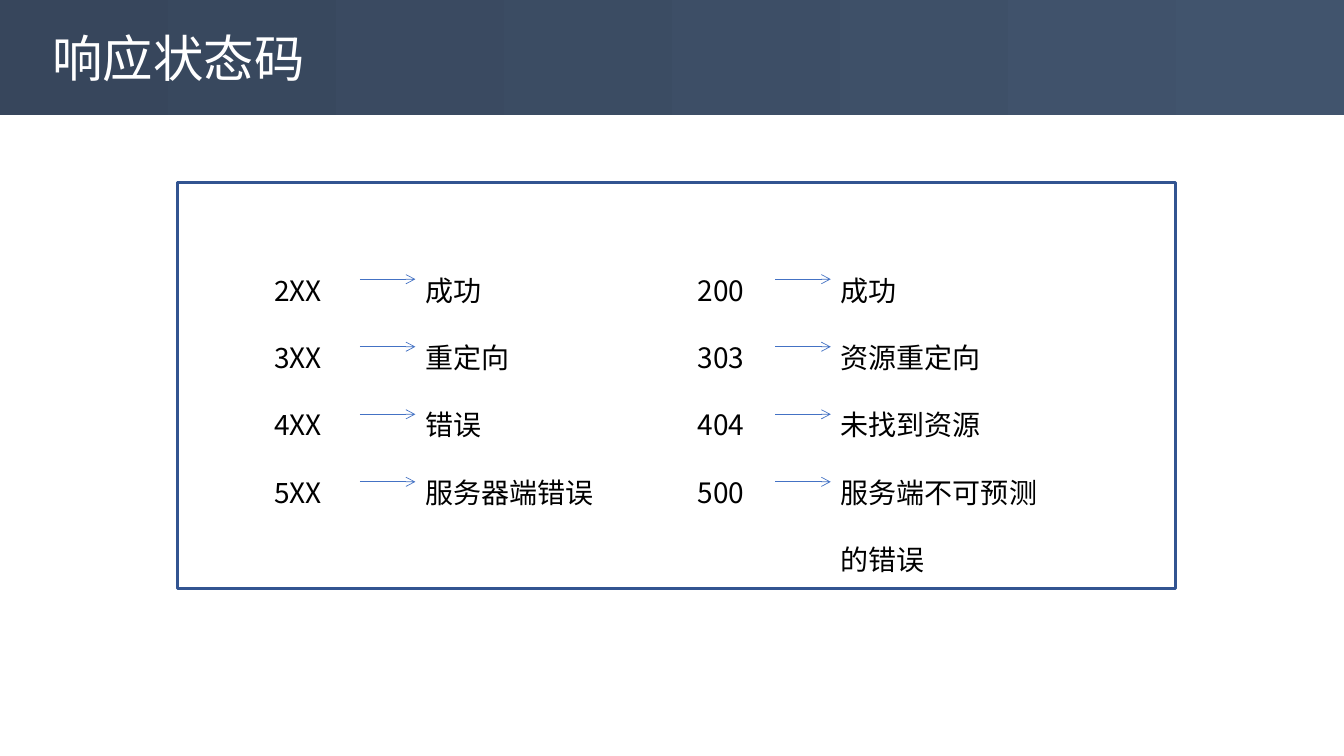
from lxml import etree
from pptx import Presentation, util as u
from pptx.dml.color import RGBColor
from pptx.enum import shapes, text
from pptx.oxml.ns import qn

TITLE = "响应状态码"
# Each group: (left of codes, width of codes), (left of meanings, width), rows
GROUPS = [
    ((2.62, 0.95), (4.12, 1.89),
     [("2XX", "成功"), ("3XX", "重定向"), ("4XX", "错误"), ("5XX", "服务器端错误")]),
    ((6.82, 0.87), (8.24, 2.28),
     [("200", "成功"), ("303", "资源重定向"), ("404", "未找到资源"),
      ("500", "服务端不可预测的错误")]),
]

FONT = "Noto Sans CJK SC"
WHITE = RGBColor(0xFF, 0xFF, 0xFF)
BLACK = RGBColor(0x00, 0x00, 0x00)
BAND_DARK = RGBColor(0x37, 0x46, 0x5C)
BAND_LIGHT = RGBColor(0x41, 0x54, 0x6D)
FRAME_BLUE = RGBColor(0x32, 0x54, 0x91)
ARROW_BLUE = RGBColor(0x44, 0x72, 0xC4)

SLIDE_W, SLIDE_H = 13.33, 7.5
BAND_H = 1.14
LIST_TOP, LIST_H = 2.33, 2.69
ARROW_TOP, ROW_H = 2.77, 0.67


def write(tf, lines, size, color, spacing=1.0, anchor=text.MSO_ANCHOR.TOP):
    tf.word_wrap = True
    tf.vertical_anchor = anchor
    for i, line in enumerate(lines):
        p = tf.paragraphs[0] if i == 0 else tf.add_paragraph()
        p.alignment = text.PP_ALIGN.LEFT
        p.line_spacing = spacing
        r = p.add_run()
        r.text = line
        r.font.size = u.Pt(size)
        r.font.color.rgb = color
        r.font.name = FONT
        etree.SubElement(r.font._element, qn("a:ea"), typeface=FONT)


def add_rect(s, *box):
    sp = s.shapes.add_shape(shapes.MSO_SHAPE.RECTANGLE, *map(u.Inches, box))
    sp.shadow.inherit = False
    return sp


def add_arrow(s, x1, x2, y):
    line = s.shapes.add_connector(
        shapes.MSO_CONNECTOR.STRAIGHT, *map(u.Inches, (x1, y, x2, y)))
    line.line.color.rgb = ARROW_BLUE
    line.line.width = u.Pt(0.5)
    etree.SubElement(line.line._get_or_add_ln(), qn("a:tailEnd"), type="arrow")
    etree.SubElement(line._element.spPr, qn("a:effectLst"))


def add_list(s, left, width, lines):
    tb = s.shapes.add_textbox(*map(u.Inches, (left, LIST_TOP, width, LIST_H)))
    write(tb.text_frame, lines, 20, BLACK, spacing=2.0)


def main():
    prs = Presentation()
    prs.slide_width, prs.slide_height = u.Inches(SLIDE_W), u.Inches(SLIDE_H)
    s = prs.slides.add_slide(prs.slide_layouts[5])

    band = add_rect(s, 0, 0, SLIDE_W, BAND_H)
    band.fill.gradient()
    band.fill.gradient_angle = 0
    for stop, color in zip(band.fill.gradient_stops, (BAND_DARK, BAND_LIGHT)):
        stop.color.rgb = color
    band.line.fill.background()

    title = s.shapes.title
    title._element.addprevious(band._element)  # band goes behind the title
    title.left, title.top, title.width, title.height = map(
        u.Inches, (0.42, 0.17, 7.82, 0.79))
    write(title.text_frame, [TITLE], 36, WHITE, anchor=text.MSO_ANCHOR.MIDDLE)

    frame = add_rect(s, 1.76, 1.81, 9.9, 4.03)
    frame.fill.background()
    frame.line.color.rgb = FRAME_BLUE
    frame.line.width = u.Pt(2)

    for (code_x, code_w), (meaning_x, meaning_w), rows in GROUPS:
        codes, meanings = zip(*rows)
        add_list(s, code_x, code_w, codes)
        add_list(s, meaning_x, meaning_w, meanings)
        for i in range(len(rows)):
            add_arrow(s, code_x + code_w, meaning_x, ARROW_TOP + i * ROW_H)

    prs.save("out.pptx")


if __name__ == "__main__":
    main()
